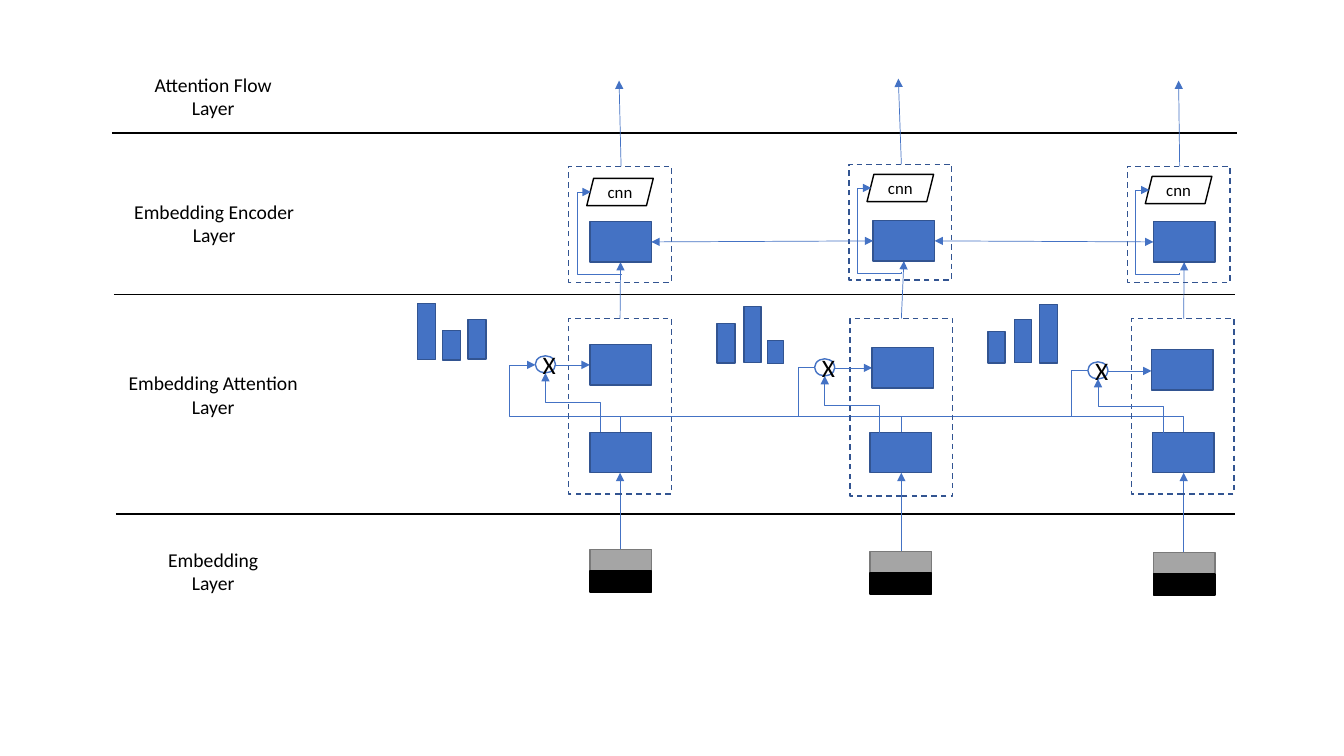
import dataclasses

import lxml.etree
import pptx
import pptx.dml.color
import pptx.enum.dml
import pptx.enum.shapes
import pptx.enum.text
import pptx.oxml
import pptx.oxml.ns
import pptx.util

Inches = pptx.util.Inches
SHAPES = pptx.enum.shapes.MSO_SHAPE
LINKS = pptx.enum.shapes.MSO_CONNECTOR
BLUE, NAVY, WHITE, BLACK = "4472C4", "325491", "FFFFFF", "000000"
GREY, DARK_GREY = "A5A5A5", "7A7A7A"
BLOCK_WIDTH, BLOCK_HEIGHT, FRAME_WIDTH = 0.61, 0.4, 1.02
LOWER_TOP, BUS_TOP = 4.29, 4.13

LABELS = [
    ("Attention Flow Layer", 1.33, 0.71, 1.57, 0.49),
    ("Embedding Encoder Layer", 1.16, 1.97, 1.93, 0.49),
    ("Embedding Attention Layer", 1.15, 3.67, 1.93, 0.49),
    ("Embedding Layer", 1.41, 5.36, 1.41, 0.61),
]
DIVIDERS = [(1.11, 12.27, 1.32), (1.13, 12.25, 2.92), (1.15, 12.25, 5.1)]


@dataclasses.dataclass
class Column:
    """Places of the parts of one word's column; points are (x, y)."""

    center: float
    attention_frame: tuple
    attention_height: float
    upper_block: tuple
    lower_left: float
    embedding: tuple
    multiplier: tuple
    gate_start: tuple
    encoder_frame: tuple
    encoder_block: tuple
    cnn: tuple
    loop_start: tuple
    loop_first: float
    output_x: float
    bars: list


COLUMNS = [
    Column(6.15, (5.64, 3.16), 1.74, (5.85, 3.42), 5.85, (5.85, 5.45), (5.31, 3.53),
           (5.95, 4.29), (5.64, 1.65), (5.85, 2.2), (5.82, 1.77), (6.16, 2.73), 0.01, 6.14,
           [(4.14, 3.01, 0.18, 0.56), (4.39, 3.28, 0.18, 0.29), (4.64, 3.17, 0.18, 0.39)]),
    Column(8.94, (8.43, 3.16), 1.76, (8.65, 3.45), 8.63, (8.63, 5.47), (8.08, 3.56),
           (8.72, 4.32), (8.42, 1.63), (8.66, 2.19), (8.6, 1.73), (8.94, 2.7), -0.01, 8.91,
           [(7.11, 3.21, 0.18, 0.39), (7.38, 3.04, 0.17, 0.56), (7.61, 3.38, 0.16, 0.23)]),
    Column(11.74, (11.22, 3.16), 1.74, (11.42, 3.47), 11.43, (11.44, 5.48), (10.79, 3.59),
           (11.54, 4.31), (11.18, 1.65), (11.44, 2.2), (11.36, 1.75), (11.7, 2.71), -0.01, 11.69,
           [(9.8, 3.29, 0.17, 0.31), (10.06, 3.17, 0.17, 0.43), (10.31, 3.02, 0.18, 0.58)]),
]


def paint(target, color):
    """Set a fill, line or font colour from a hex string."""
    target.rgb = pptx.dml.color.RGBColor.from_string(color)


def add_box(page, kind, left, top, width, height, fill=None, line=None, dashed=False):
    """Add a preset shape with optional fill and outline."""
    box = page.shapes.add_shape(kind, Inches(left), Inches(top), Inches(width), Inches(height))
    box.shadow.inherit = False
    if fill:
        box.fill.solid()
        paint(box.fill.fore_color, fill)
    else:
        box.fill.background()
    if line:
        paint(box.line.color, line)
        box.line.width = pptx.util.Pt(1)
    else:
        box.line.fill.background()
    if dashed:
        box.line.dash_style = pptx.enum.dml.MSO_LINE.DASH
    return box


def add_block(page, left, top, width=BLOCK_WIDTH, height=BLOCK_HEIGHT):
    """Add a solid blue rectangle."""
    return add_box(page, SHAPES.RECTANGLE, left, top, width, height, BLUE, NAVY)


def add_frame(page, corner, height):
    """Add a dashed frame around one stage of a column."""
    return add_box(page, SHAPES.RECTANGLE, *corner, FRAME_WIDTH, height, None, NAVY, True)


def write(box, text, size):
    """Put centred black text into a shape."""
    frame = box.text_frame
    frame.word_wrap = True
    frame.vertical_anchor = pptx.enum.text.MSO_ANCHOR.MIDDLE
    para = frame.paragraphs[0]
    para.alignment = pptx.enum.text.PP_ALIGN.CENTER
    span = para.add_run()
    span.text = text
    span.font.name = "Calibri"
    span.font.size = pptx.util.Pt(size)
    paint(span.font.color, BLACK)


def add_link(page, start, end, color=BLUE, width=0.5, ends=(), kind=LINKS.STRAIGHT):
    """Add a connector with triangles at the named ends."""
    link = page.shapes.add_connector(kind, *(Inches(value) for value in (*start, *end)))
    paint(link.line.color, color)
    link.line.width = pptx.util.Pt(width)
    outline = link.line._get_or_add_ln()
    for name in ends:
        lxml.etree.SubElement(outline, pptx.oxml.ns.qn(f"a:{name}"), type="triangle")
    lxml.etree.SubElement(link._element.spPr, pptx.oxml.ns.qn("a:effectLst"))
    return link


def add_climb(page, start, end, bends=(), ends=("tailEnd",)):
    """Add a bent connector that leaves start upwards; bends are shares of its size."""
    middle_x, middle_y = (start[0] + end[0]) / 2, (start[1] + end[1]) / 2
    half_width, half_height = abs(start[1] - end[1]) / 2, abs(start[0] - end[0]) / 2
    link = add_link(page, (middle_x - half_width, middle_y - half_height),
                    (middle_x + half_width, middle_y + half_height),
                    ends=ends, kind=LINKS.ELBOW)
    properties = link._element.spPr
    transform = properties.find(pptx.oxml.ns.qn("a:xfrm"))
    transform.set("rot", str(270 * 60000))
    if end[0] < start[0]:
        transform.set("flipV", "1")
    geometry = properties.find(pptx.oxml.ns.qn("a:prstGeom"))
    geometry.set("prst", f"bentConnector{len(bends) + 2}")
    guides = geometry.find(pptx.oxml.ns.qn("a:avLst"))
    for number, share in enumerate(bends, 1):
        lxml.etree.SubElement(guides, pptx.oxml.ns.qn("a:gd"), name=f"adj{number}",
                              fmla=f"val {round(share * 100000)}")


def add_embedding(page, column):
    """Draw the two-part embedding and its arrow into the lower block."""
    left, top = column.embedding
    add_box(page, SHAPES.RECTANGLE, left, top, BLOCK_WIDTH, 0.21, GREY, DARK_GREY)
    add_box(page, SHAPES.RECTANGLE, left, top + 0.215, BLOCK_WIDTH, 0.21, BLACK, BLACK)
    add_block(page, column.lower_left, LOWER_TOP)
    add_link(page, (column.center, top), (column.center, 4.69), ends=["tailEnd"])


def add_attention(page, column):
    """Draw the attention stage with its bars and multiplier."""
    add_frame(page, column.attention_frame, column.attention_height)
    left, top = column.multiplier
    axis = top + 0.09
    add_climb(page, column.gate_start, (left + 0.1, top + 0.17), [0.5])
    write(add_box(page, SHAPES.OVAL, left, top, 0.2, 0.17, WHITE, BLUE), "X", 18)
    add_link(page, (left + 0.2, axis), (column.upper_block[0], axis), ends=["tailEnd"])
    add_block(page, *column.upper_block)
    for bar in column.bars:
        add_block(page, *bar)


def add_encoder(page, column):
    """Draw the encoder stage with its cnn loop and output arrow."""
    left, top = column.encoder_block
    block_center = left + BLOCK_WIDTH / 2
    add_link(page, (column.center, 3.16), (block_center, top + BLOCK_HEIGHT), ends=["tailEnd"])
    add_frame(page, column.encoder_frame, 1.15)
    add_block(page, left, top)
    cnn_left, cnn_top = column.cnn
    write(add_box(page, SHAPES.PARALLELOGRAM, cnn_left, cnn_top, 0.66, 0.27, WHITE, BLACK),
          "cnn", 12)
    add_climb(page, column.loop_start, (cnn_left + 0.04, cnn_top + 0.135),
              [column.loop_first, 1.45])
    frame_left, frame_top = column.encoder_frame
    add_link(page, (frame_left + FRAME_WIDTH / 2 + 0.01, frame_top),
             (column.output_x, frame_top - 0.85), ends=["tailEnd"])


def add_bus(page):
    """Draw the shared line from the lower blocks to every multiplier."""
    first, second, third = COLUMNS
    add_climb(page, (third.center, LOWER_TOP), (first.multiplier[0], 3.62), [0.24, 1.04])
    for column in (first, second):
        add_link(page, (column.center, LOWER_TOP), (column.center, BUS_TOP))
    for column in (second, third):
        left, top = column.multiplier
        add_climb(page, (left - 0.165, BUS_TOP), (left, top + 0.085), ends=())


def main():
    """Build the slide and save it."""
    deck = pptx.Presentation()
    deck.slide_width, deck.slide_height = Inches(13.33), Inches(7.5)
    page = deck.slides.add_slide(deck.slide_layouts[6])
    for text, *place in LABELS:
        write(add_box(page, SHAPES.RECTANGLE, *place, WHITE), text, 14)
    for left, right, top in DIVIDERS:
        add_link(page, (left, top), (right, top), BLACK, 1)
    add_bus(page)
    for column in COLUMNS:
        add_embedding(page, column)
        add_attention(page, column)
        add_encoder(page, column)
    for before, after in zip(COLUMNS, COLUMNS[1:]):
        (left, top), (right, bottom) = before.encoder_block, after.encoder_block
        add_link(page, (left + BLOCK_WIDTH, top + 0.2), (right, bottom + 0.2),
                 ends=["headEnd", "tailEnd"])
    deck.save("out.pptx")


main()
